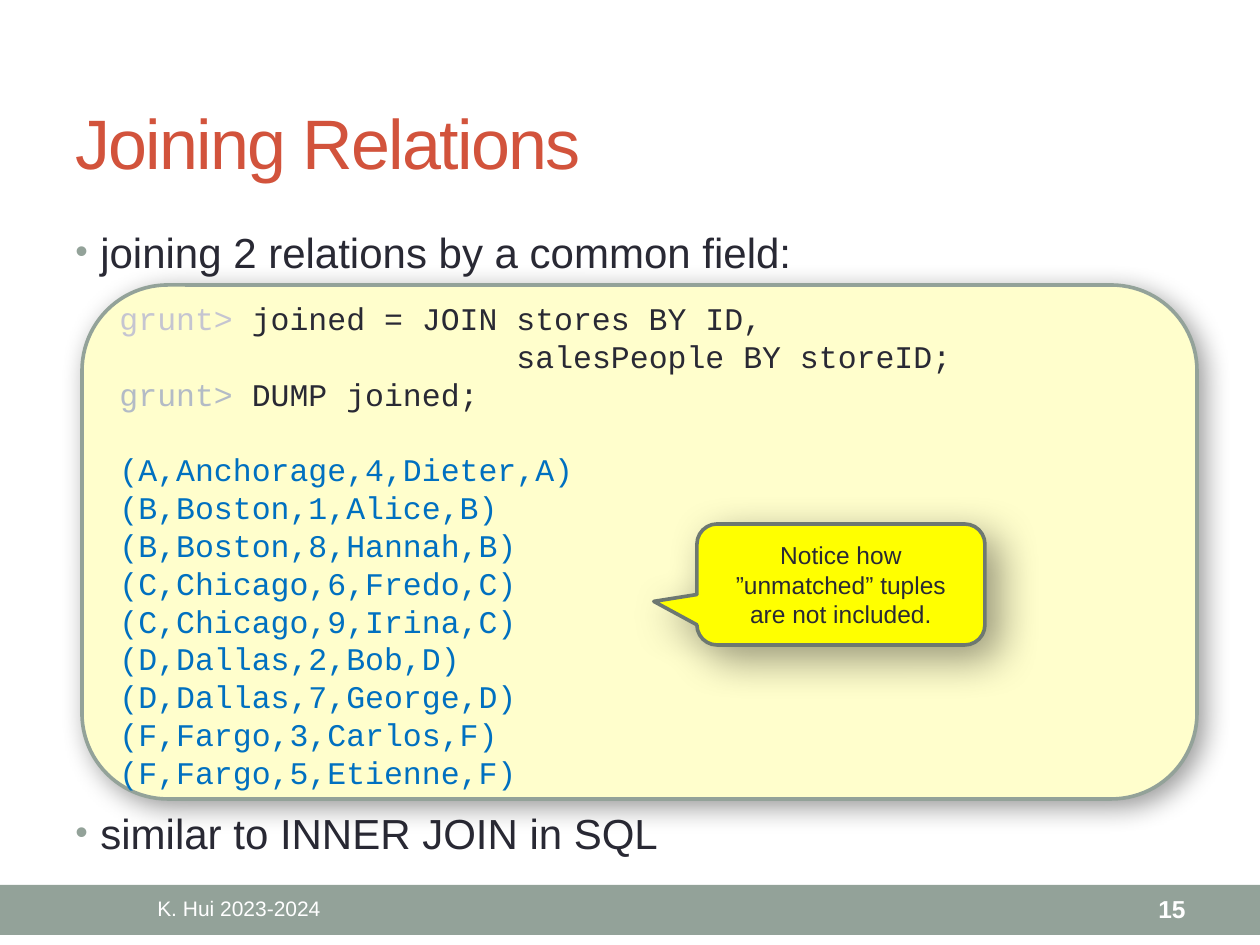
"""Slide about joining two relations, with a code panel and a callout."""
from lxml import etree
from pptx import Presentation
from pptx.dml.color import RGBColor
from pptx.enum.shapes import MSO_SHAPE
from pptx.enum.text import MSO_ANCHOR, PP_ALIGN
from pptx.oxml import parse_xml
from pptx.oxml.ns import nsdecls, qn
from pptx.util import Emu, Pt

PX = 914400 // 126
LEFT, CENTER, RIGHT = PP_ALIGN.LEFT, PP_ALIGN.CENTER, PP_ALIGN.RIGHT
TOP, MIDDLE = MSO_ANCHOR.TOP, MSO_ANCHOR.MIDDLE
SAGE, INK, WHITE, BLUE = "93A299", "292934", "FFFFFF", "0070C0"


def rgb(color):
    """Turn a hex string into a colour."""
    return RGBColor.from_string(color)


def write(p, text, size, color, font="Arial", align=LEFT):
    """Add one formatted run to a paragraph."""
    p.alignment = align
    r = p.add_run()
    r.text = text
    r.font.size = Pt(size)
    r.font.name = font
    r.font.color.rgb = rgb(color)
    return r


prs = Presentation()
prs.slide_width, prs.slide_height = Emu(1260 * PX), Emu(945 * PX)
s = prs.slides.add_slide(prs.slide_layouts[5])

band = s.shapes.add_shape(
    MSO_SHAPE.RECTANGLE, 0, 885 * PX, 1260 * PX, 50 * PX)
band.shadow.inherit = False
band.fill.solid()
band.fill.fore_color.rgb = rgb(SAGE)
band.line.fill.background()

title = s.shapes.title
title.left, title.top = 63 * PX, 73 * PX
title.width, title.height = 1134 * PX, 136 * PX
title.text_frame.vertical_anchor = MIDDLE
r = write(title.text_frame.paragraphs[0], "Joining Relations", 40, "D2533C")
r.font._element.set("spc", "-100")

for text, top, height in [
    ("joining 2 relations by a common field:", 220, 122),
    ("similar to INNER JOIN in SQL", 801, 84),
]:
    tf = s.shapes.add_textbox(63 * PX, top * PX, 1134 * PX, height * PX).text_frame
    tf.word_wrap = True
    p = tf.paragraphs[0]
    write(p, text, 24, INK)
    p.space_before = Pt(5)
    pPr = p._p.get_or_add_pPr()
    pPr.set("marL", str(25 * PX))
    pPr.set("indent", str(-25 * PX))
    color = etree.SubElement(pPr, qn("a:buClr"))
    etree.SubElement(color, qn("a:srgbClr"), val=SAGE)
    etree.SubElement(pPr, qn("a:buSzPct"), val="85000")
    etree.SubElement(pPr, qn("a:buFont"), typeface="Arial")
    etree.SubElement(pPr, qn("a:buChar"), char="•")

for text, left, width, size, align, bold in [
    ("K. Hui 2023-2024", 63, 352, 12, CENTER, False),
    ("15", 1051, 147, 14, RIGHT, True),
]:
    tf = s.shapes.add_textbox(left * PX, 886 * PX, width * PX, 45 * PX).text_frame
    tf.word_wrap = True
    tf.vertical_anchor = MIDDLE
    write(tf.paragraphs[0], text, size, WHITE, align=align).font.bold = bold

code = s.shapes.add_shape(
    MSO_SHAPE.ROUNDED_RECTANGLE, 82 * PX, 285 * PX, 1115 * PX, 514 * PX)
callout = s.shapes.add_shape(
    MSO_SHAPE.ROUNDED_RECTANGULAR_CALLOUT, 697 * PX, 524 * PX, 288 * PX, 121 * PX)
callout.adjustments[0], callout.adjustments[1] = -0.65, 0.14
for sp, fill, line, blur, dist in [
    (code, "FFFECC", SAGE, 15, 5),
    (callout, "FFFF00", "6D7871", 24, 10),
]:
    sp.fill.solid()
    sp.fill.fore_color.rgb = rgb(fill)
    sp.line.color.rgb = rgb(line)
    sp.line.width = Pt(2.08)
    sp.text_frame.word_wrap = True
    sp.text_frame.vertical_anchor = MIDDLE
    sp._element.spPr.append(parse_xml(
        f'<a:effectLst {nsdecls("a")}><a:outerShdw blurRad="{Pt(blur)}" '
        f'dist="{Pt(dist)}" dir="2700000" algn="tl" rotWithShape="0">'
        '<a:srgbClr val="000000"><a:alpha val="40000"/></a:srgbClr>'
        '</a:outerShdw></a:effectLst>'))

code_lines = [
    [("grunt> ", "C5C5D1"), ("joined = JOIN stores BY ID,", INK)],
    [("salesPeople BY storeID;", INK)],
    [("grunt> ", "B3BBC6"), ("DUMP joined;", INK)],
]
tuples = [
    "A,Anchorage,4,Dieter,A", "B,Boston,1,Alice,B", "B,Boston,8,Hannah,B",
    "C,Chicago,6,Fredo,C", "C,Chicago,9,Irina,C", "D,Dallas,2,Bob,D",
    "D,Dallas,7,George,D", "F,Fargo,3,Carlos,F", "F,Fargo,5,Etienne,F",
]
code_lines += [[(f"({row})", BLUE)] for row in tuples]
tf = code.text_frame
tf.margin_top, tf.margin_bottom = 6 * PX, 0
for i, runs in enumerate(code_lines):
    p = tf.add_paragraph() if i else tf.paragraphs[0]
    p.line_spacing = Pt(21.6)
    for text, color in runs:
        write(p, text, 18, color, "Courier New")
tf.paragraphs[1]._p.get_or_add_pPr().set("marL", str(397 * PX))
tf.paragraphs[3].space_before = Pt(21.6)

write(callout.text_frame.paragraphs[0],
      "Notice how ”unmatched” tuples are not included.", 14, INK, align=CENTER)

prs.save("out.pptx")
